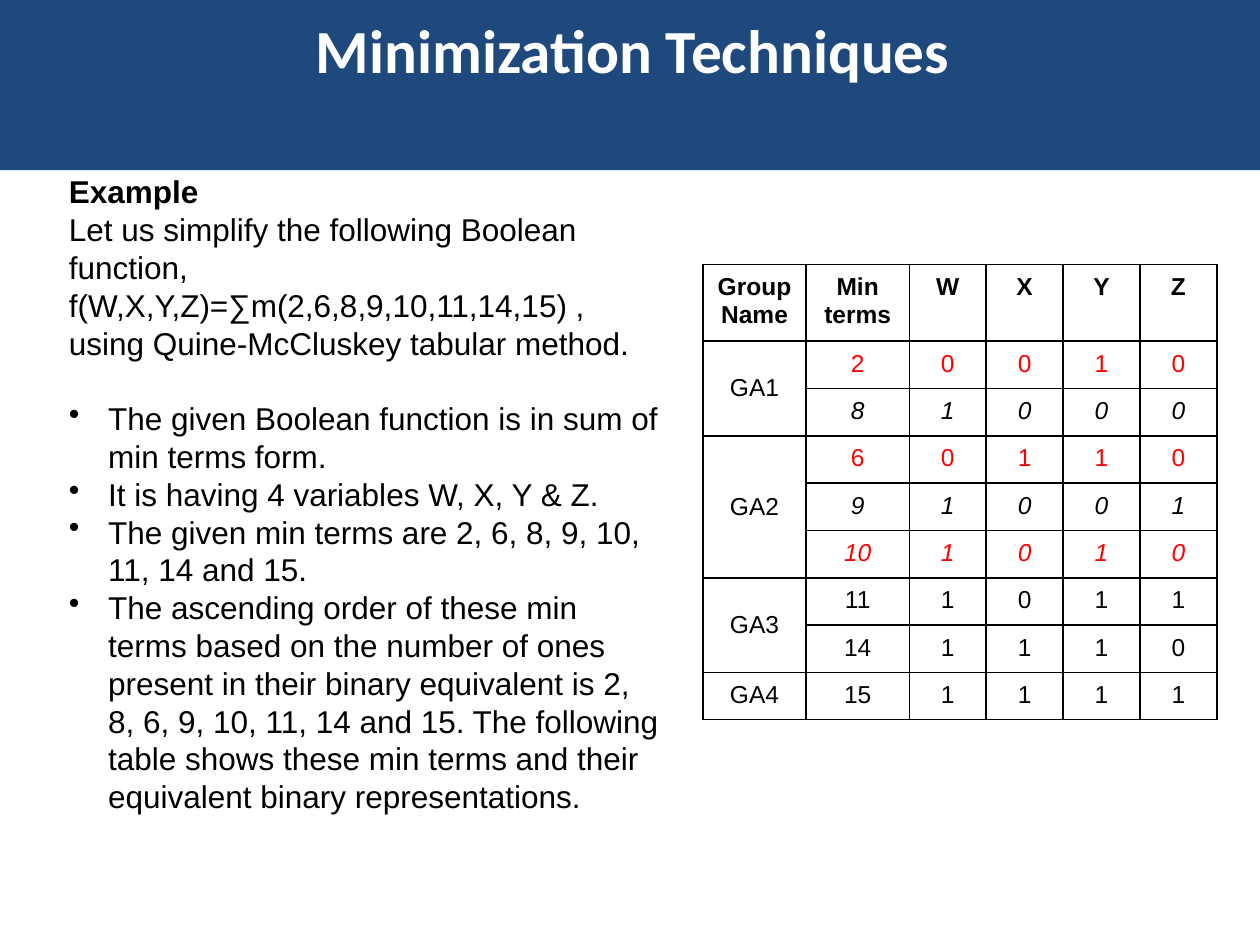
from dataclasses import dataclass

from lxml.etree import SubElement
from pptx import Presentation
from pptx.dml.color import RGBColor
from pptx.enum.shapes import MSO_SHAPE
from pptx.enum.text import MSO_ANCHOR as ANCHOR, PP_ALIGN as ALIGN
from pptx.oxml.ns import qn
from pptx.util import Cm, Pt

NAVY, WHITE, BLACK, RED = "1F497D", "FFFFFF", "000000", "FF0000"
INDENT = Cm(0.79)


@dataclass
class Style:
    size: float
    color: str = BLACK
    bold: bool = False
    italic: bool = False
    name: str = "Arial"


@dataclass
class Minterm:
    value: int
    color: str = BLACK
    italic: bool = False


@dataclass
class Line:
    text: str
    bold: bool = False
    bullet: bool = False
    before: float = 0


HEADERS = ["Group Name", "Min terms", "W", "X", "Y", "Z"]
MINTERMS = [
    Minterm(2, RED), Minterm(8, italic=True),
    Minterm(6, RED), Minterm(9, italic=True), Minterm(10, RED, True),
    Minterm(11), Minterm(14), Minterm(15),
]
LINES = [
    Line("Example", bold=True),
    Line("Let us simplify the following Boolean function, "
         "f(W,X,Y,Z)=∑m(2,6,8,9,10,11,14,15) , using Quine-McCluskey tabular method."),
    Line("The given Boolean function is in sum of min terms form.", bullet=True, before=21.6),
    Line("It is having 4 variables W, X, Y & Z.", bullet=True),
    Line("The given min terms are 2, 6, 8, 9, 10, 11, 14 and 15.", bullet=True),
    Line("The ascending order of these min terms based on the number of ones present in "
         "their binary equivalent is 2, 8, 6, 9, 10, 11, 14 and 15. The following table "
         "shows these min terms and their equivalent binary representations.", bullet=True),
]


def rgb(value: str) -> RGBColor:
    return RGBColor.from_string(value)


def write(p, text: str, style: Style, align=ALIGN.LEFT) -> None:
    p.add_run().text = text
    p.alignment = align
    font = p.font
    font.name, font.size = style.name, Pt(style.size)
    font.bold, font.italic = style.bold, style.italic
    font.color.rgb = rgb(style.color)


def add_bullet(p) -> None:
    pPr = p._p.get_or_add_pPr()
    pPr.set("marL", str(INDENT))
    pPr.set("indent", str(-INDENT))
    bullet = pPr.makeelement(qn("a:buChar"), {"char": "•"})
    pPr.find(qn("a:defRPr")).addprevious(bullet)


def add_box(s, left: float, top: float, width: float, height: float):
    tf = s.shapes.add_textbox(Cm(left), Cm(top), Cm(width), Cm(height)).text_frame
    tf.word_wrap = True
    return tf


def add_body(s) -> None:
    tf = add_box(s, 1.14, 3.35, 12.4, 13.34)
    for i, line in enumerate(LINES):
        p = tf.add_paragraph() if i else tf.paragraphs[0]
        write(p, line.text, Style(18, bold=line.bold))
        p.line_spacing = Pt(21.6)
        p.space_before = Pt(line.before)
        if line.bullet:
            add_bullet(p)


def format_cell(cell) -> None:
    cell.margin_left = cell.margin_right = cell.margin_top = cell.margin_bottom = Cm(0.18)
    tcPr = cell._tc.get_or_add_tcPr()
    for side in ("lnL", "lnR", "lnT", "lnB"):
        ln = SubElement(tcPr, qn(f"a:{side}"), w=str(Pt(1)))
        fill = SubElement(ln, qn("a:solidFill"))
        SubElement(fill, qn("a:srgbClr"), val=BLACK)
    cell.fill.background()


def write_cell(cell, text: str, style: Style) -> None:
    write(cell.text_frame.paragraphs[0], text, style, ALIGN.CENTER)


def add_minterm_table(s) -> None:
    widths = [2.08] * 2 + [1.55] * 4
    heights = [1.53] + [0.93] * len(MINTERMS)
    table = s.shapes.add_table(len(heights), len(widths), Cm(14.17), Cm(5.33),
                               Cm(sum(widths)), Cm(sum(heights))).table
    table.first_row = table.horz_banding = False
    for column, width in zip(table.columns, widths):
        column.width = Cm(width)
    for row, height in zip(table.rows, heights):
        row.height = Cm(height)
    for cell in table.iter_cells():
        format_cell(cell)

    for c, header in enumerate(HEADERS):
        write_cell(table.cell(0, c), header, Style(14, bold=True))
    groups: dict[int, list[int]] = {}
    for r, term in enumerate(MINTERMS, start=1):
        bits = f"{term.value:04b}"
        groups.setdefault(bits.count("1"), []).append(r)
        for c, text in enumerate([str(term.value), *bits], start=1):
            write_cell(table.cell(r, c), text, Style(14, term.color, italic=term.italic))
    for ones, rows in groups.items():
        cell = table.cell(rows[0], 0)
        if len(rows) > 1:
            cell.merge(table.cell(rows[-1], 0))
            cell.vertical_anchor = ANCHOR.MIDDLE
        write_cell(cell, f"GA{ones}", Style(14))


def main() -> None:
    prs = Presentation()
    prs.slide_width, prs.slide_height = Cm(25.4), Cm(19.05)
    s = prs.slides.add_slide(prs.slide_layouts[6])

    band = s.shapes.add_shape(MSO_SHAPE.RECTANGLE, 0, 0, prs.slide_width, Cm(3.43))
    band.shadow.inherit = False
    band.fill.solid()
    band.fill.fore_color.rgb = rgb(NAVY)
    band.line.fill.background()

    title = add_box(s, 0.2, 0.13, 25.4, 3.33)
    write(title.paragraphs[0], "Minimization Techniques ",
          Style(35, WHITE, bold=True, name="Calibri"), ALIGN.CENTER)
    add_body(s)
    add_minterm_table(s)
    prs.save("out.pptx")


if __name__ == "__main__":
    main()
